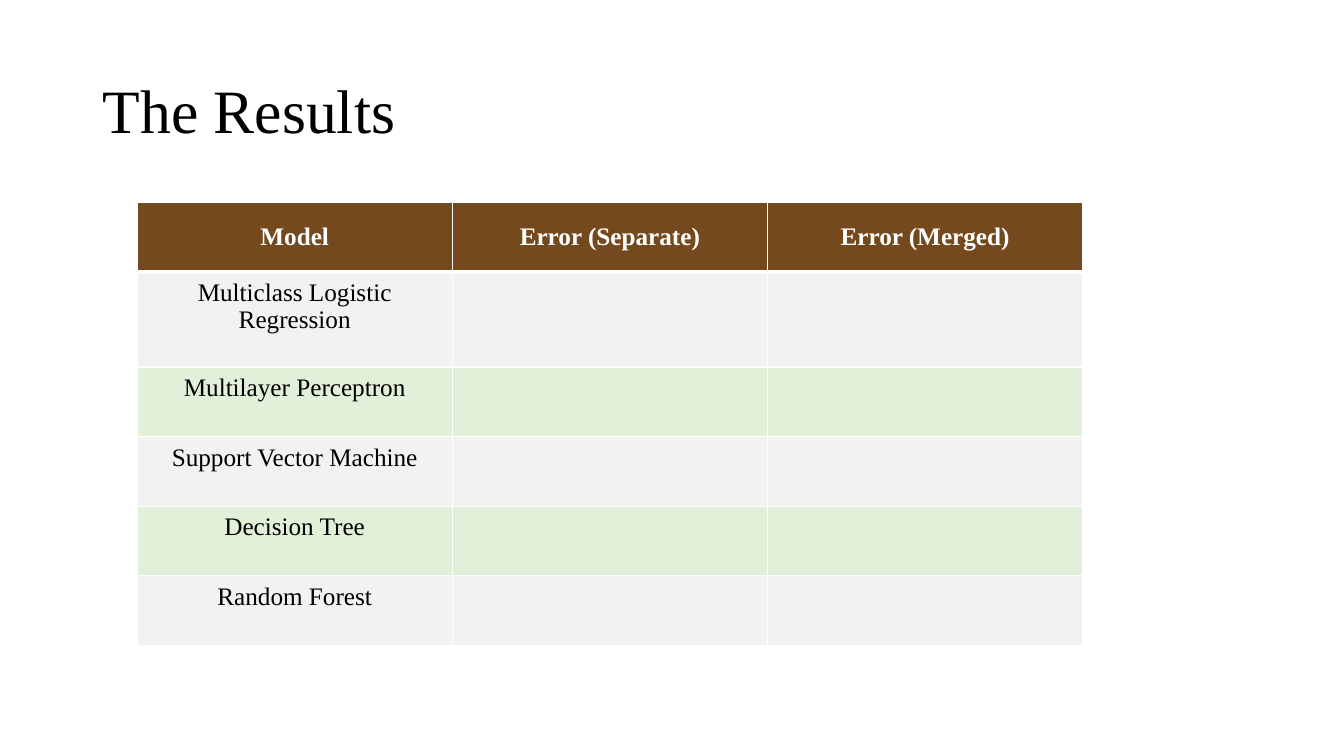
from dataclasses import dataclass

from lxml.etree import SubElement
from pptx import Presentation
from pptx.dml.color import RGBColor
from pptx.enum.text import MSO_ANCHOR, PP_ALIGN
from pptx.oxml.ns import qn
from pptx.util import Inches, Pt


@dataclass(frozen=True)
class Theme:
    font: str = "Times New Roman"
    title_size: int = 44
    table_size: int = 18
    text: str = "000000"
    light: str = "FFFFFF"
    header: str = "73491D"
    bands: tuple = ("F2F2F2", "E2F0D9")


THEME = Theme()
HEADINGS = ("Model", "Error (Separate)", "Error (Merged)")
MODELS = (
    "Multiclass Logistic Regression",
    "Multilayer Perceptron",
    "Support Vector Machine",
    "Decision Tree",
    "Random Forest",
)


def style_paragraph(paragraph, size, color, bold=False, spacing=1.0):
    paragraph.line_spacing = spacing
    font = paragraph.font
    font.name = THEME.font
    font.size = Pt(size)
    font.bold = bold
    font.color.rgb = RGBColor.from_string(color)


def add_title(slide, wording):
    title = slide.shapes.add_textbox(Inches(0.92), Inches(0.4), Inches(11.5), Inches(1.45))
    frame = title.text_frame
    frame.word_wrap = True
    frame.vertical_anchor = MSO_ANCHOR.MIDDLE
    frame.text = wording
    style_paragraph(frame.paragraphs[0], THEME.title_size, THEME.text, spacing=0.9)


def add_borders(cell, bottom_width):
    properties = cell._tc.get_or_add_tcPr()
    widths = {"a:lnL": 1, "a:lnR": 1, "a:lnT": 1, "a:lnB": bottom_width}
    for position, (edge, width) in enumerate(widths.items()):
        line = SubElement(properties, qn(edge), w=str(Pt(width)))
        fill = SubElement(line, qn("a:solidFill"))
        SubElement(fill, qn("a:srgbClr"), val=THEME.light)
        properties.insert(position, line)


def fill_cell(cell, wording, fill, color, is_header):
    cell.fill.solid()
    cell.fill.fore_color.rgb = RGBColor.from_string(fill)
    cell.vertical_anchor = MSO_ANCHOR.MIDDLE
    cell.margin_bottom = Inches(0.05 if is_header else 0.31)
    cell.text_frame.text = wording
    paragraph = cell.text_frame.paragraphs[0]
    paragraph.alignment = PP_ALIGN.CENTER
    style_paragraph(paragraph, THEME.table_size, color, is_header, 0.97)
    add_borders(cell, 3 if is_header else 1)


def add_results(slide):
    records = [HEADINGS] + [(model, "", "") for model in MODELS]
    heights = [0.69, 0.92] + [0.69] * (len(MODELS) - 1)
    results = slide.shapes.add_table(
        len(records), len(HEADINGS),
        Inches(1.36), Inches(2.01), Inches(9.38), Inches(sum(heights)),
    ).table
    for row_index, (record, height) in enumerate(zip(records, heights)):
        results.rows[row_index].height = Inches(height)
        is_header = row_index == 0
        fill = THEME.header if is_header else THEME.bands[(row_index - 1) % 2]
        color = THEME.light if is_header else THEME.text
        for column_index, wording in enumerate(record):
            fill_cell(results.cell(row_index, column_index), wording, fill, color, is_header)


def main():
    presentation = Presentation()
    presentation.slide_width = Inches(13.33)
    presentation.slide_height = Inches(7.5)
    slide = presentation.slides.add_slide(presentation.slide_layouts[6])
    add_title(slide, "The Results")
    add_results(slide)
    presentation.save("out.pptx")


if __name__ == "__main__":
    main()
